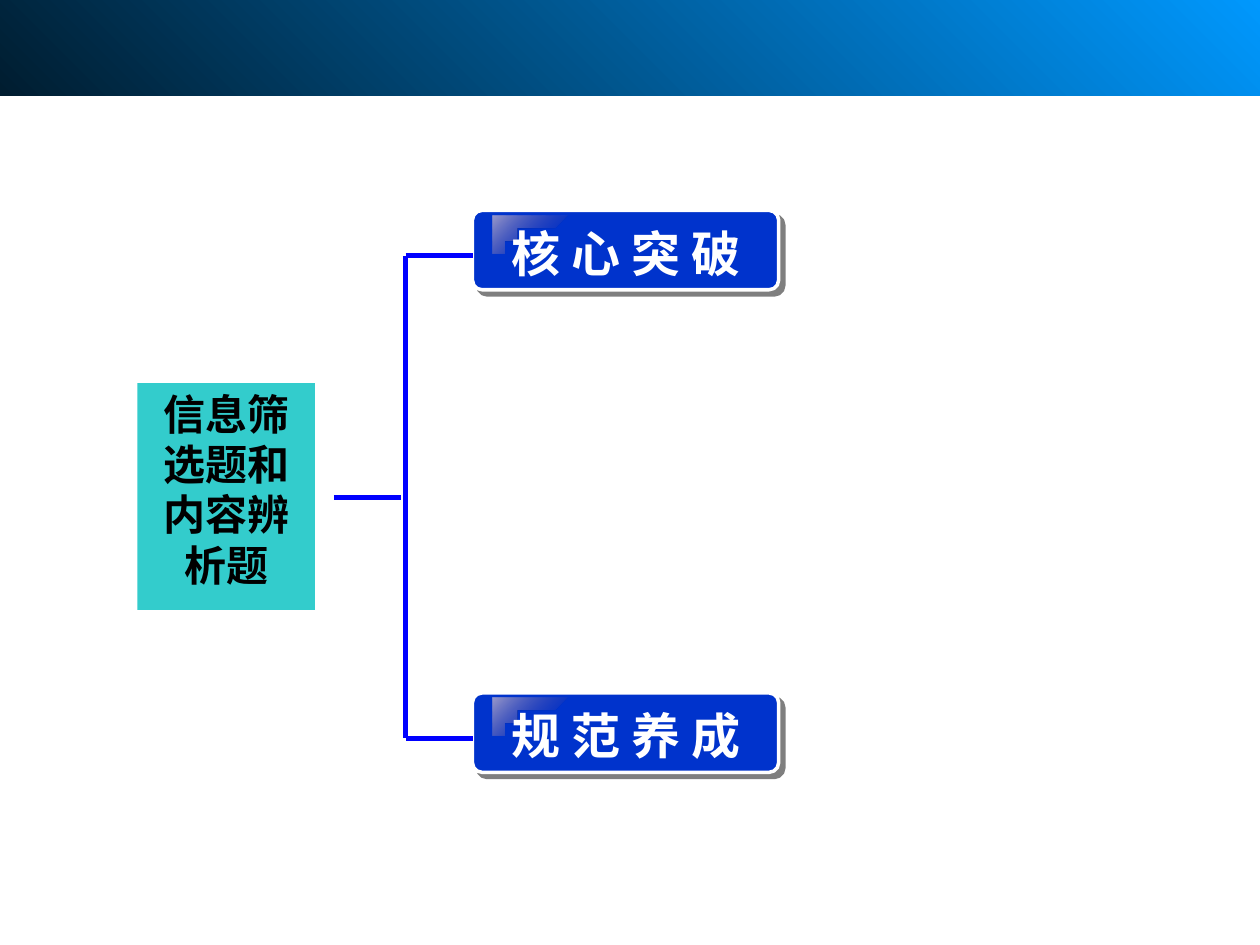
from lxml.etree import SubElement
from pptx import Presentation
from pptx.dml.color import RGBColor
from pptx.enum.shapes import MSO_CONNECTOR, MSO_SHAPE
from pptx.enum.text import MSO_ANCHOR, PP_ALIGN
from pptx.oxml import parse_xml
from pptx.oxml.ns import nsdecls, qn
from pptx.util import Inches, Pt

COLORS = {
    "sky": "0099FF", "night": "001D30", "teal": "33CCCC", "button": "0033CC",
    "line": "0000FF", "white": "FFFFFF", "black": "000000",
    "gloss": "9B9BCC", "gloss_mid": "333399",
}
CJK = "Noto Sans CJK SC"
UNIT = Inches(0.1)  # the slide is a grid of 100 columns by 75 rows


def grid(*values):
    return [round(v * UNIT) for v in values]


def rgb(name):
    return RGBColor.from_string(COLORS[name])


def color_xml(name, alpha=100):
    return (f'<a:srgbClr val="{COLORS[name]}">'
            f'<a:alpha val="{alpha * 1000}"/></a:srgbClr>')


def gradient(shape, stops, angle):
    """Fill with (position, colour, opacity) stops along a clockwise angle."""
    shape.fill.background()
    gs = "".join(f'<a:gs pos="{pos * 1000}">{color_xml(name, alpha)}</a:gs>'
                 for pos, name, alpha in stops)
    old = shape.element.spPr.find(qn("a:noFill"))
    old.getparent().replace(old, parse_xml(
        f'<a:gradFill {nsdecls("a")} rotWithShape="1"><a:gsLst>{gs}</a:gsLst>'
        f'<a:lin ang="{angle * 60000}" scaled="1"/></a:gradFill>'))


def add_box(s, kind, box, fill=None):
    sp = s.shapes.add_shape(kind, *grid(*box))
    sp.shadow.inherit = False
    sp.line.fill.background()
    if fill:
        sp.fill.solid()
        sp.fill.fore_color.rgb = rgb(fill)
    return sp


def write(sp, text, size, color, font, margins, anchor, align):
    tf = sp.text_frame
    tf.word_wrap = True
    tf.vertical_anchor = anchor
    tf.margin_left, tf.margin_top, tf.margin_right, tf.margin_bottom = grid(*margins)
    p = tf.paragraphs[0]
    p.alignment = align
    p.add_run().text = text
    p.font.size, p.font.bold, p.font.name = Pt(size), True, font
    p.font.color.rgb = rgb(color)
    SubElement(p.font._element, qn("a:ea")).set("typeface", CJK)


def add_line(s, x1, y1, x2, y2):
    line = s.shapes.add_connector(MSO_CONNECTOR.STRAIGHT, *grid(x1, y1, x2, y2))
    line.line.color.rgb = rgb("line")
    line.line.width = Pt(3)
    SubElement(line.element.spPr, qn("a:effectLst"))


def curve(start, c1, c2, end, steps=12):
    """Points along a cubic curve, without its start."""
    for i in range(1, steps + 1):
        t = i / steps
        weights = ((1 - t) ** 3, 3 * t * (1 - t) ** 2, 3 * t * t * (1 - t), t ** 3)
        yield tuple(sum(w * pt[k] for w, pt in zip(weights, (start, c1, c2, end)))
                    for k in (0, 1))


def add_header(s, box):
    bar = add_box(s, MSO_SHAPE.RECTANGLE, box)
    gradient(bar, [(0, "sky", 100), (100, "night", 100)], 135)


def add_topic(s, box, text):
    sp = add_box(s, MSO_SHAPE.RECTANGLE, box, "teal")
    write(sp, text, 24, "black", CJK, (1, 0.4, 1, 1.6), MSO_ANCHOR.TOP, PP_ALIGN.CENTER)


def add_gloss(s, x, y):
    top, left, low = (2.4, 0), (0, 0.6), (0, 3.1)
    mid, right = (3.2, 0.9), (11.9, 0)
    points = [*curve(top, (1, 0), (0, 0.3), left), low,
              *curve(low, (0.5, 3.2), (0.2, 1.6), mid),
              *curve(mid, (6.2, 0.2), (12, 0.2), right)]
    fb = s.shapes.build_freeform(*top, scale=UNIT)
    fb.add_line_segments(points, close=True)
    sp = fb.convert_to_shape(*grid(x, y))
    sp.shadow.inherit = False
    sp.line.fill.background()
    gradient(sp, [(0, "gloss", 100), (50, "gloss_mid", 0), (100, "gloss", 100)], 225)


def add_button(s, box, text):
    x, y, w, h = box
    # Plate with white rim and hard shadow
    sp = add_box(s, MSO_SHAPE.ROUNDED_RECTANGLE, box, "button")
    sp.adjustments[0] = 0.12
    sp.line.color.rgb = rgb("white")
    sp.line.width = Pt(2)
    sp.element.spPr.find(qn("a:effectLst")).append(parse_xml(
        f'<a:outerShdw {nsdecls("a")} blurRad="0" dist="{Pt(4.2)}" dir="{45 * 60000}" '
        f'algn="ctr" rotWithShape="0">{color_xml("black", 50)}</a:outerShdw>'))
    add_gloss(s, x + 1.6, y + 0.4)
    # Label
    label = s.shapes.add_textbox(*grid(x + 2.1, y + 0.5, 41.1, 5.7))
    write(label, text, 28, "white", "Times New Roman", (1, 0.5, 1, 0.5),
          MSO_ANCHOR.MIDDLE, PP_ALIGN.LEFT)


def add_bracket(s, box, stem_x, stem_y):
    x, y, w, h = box
    add_line(s, stem_x, stem_y, stem_x + w, stem_y)
    add_line(s, x, y, x, y + h)
    for branch_y in (y, y + h):
        add_line(s, x, branch_y, x + w, branch_y)


def main():
    prs = Presentation()
    prs.slide_width, prs.slide_height = grid(100, 75)
    s = prs.slides.add_slide(prs.slide_layouts[6])
    add_topic(s, (10.9, 30.4, 14.1, 18), "信息筛选题和内容辨析题")
    add_header(s, (0, -1.1, 100, 8.7))
    for y, text in ((16.7, "核 心 突 破"), (55, "规 范 养 成")):
        add_button(s, (37.5, y, 24.3, 6.3), text)
    add_bracket(s, (32.2, 20.3, 5.3, 38.3), 26.5, 39.5)
    prs.save("out.pptx")


if __name__ == "__main__":
    main()
